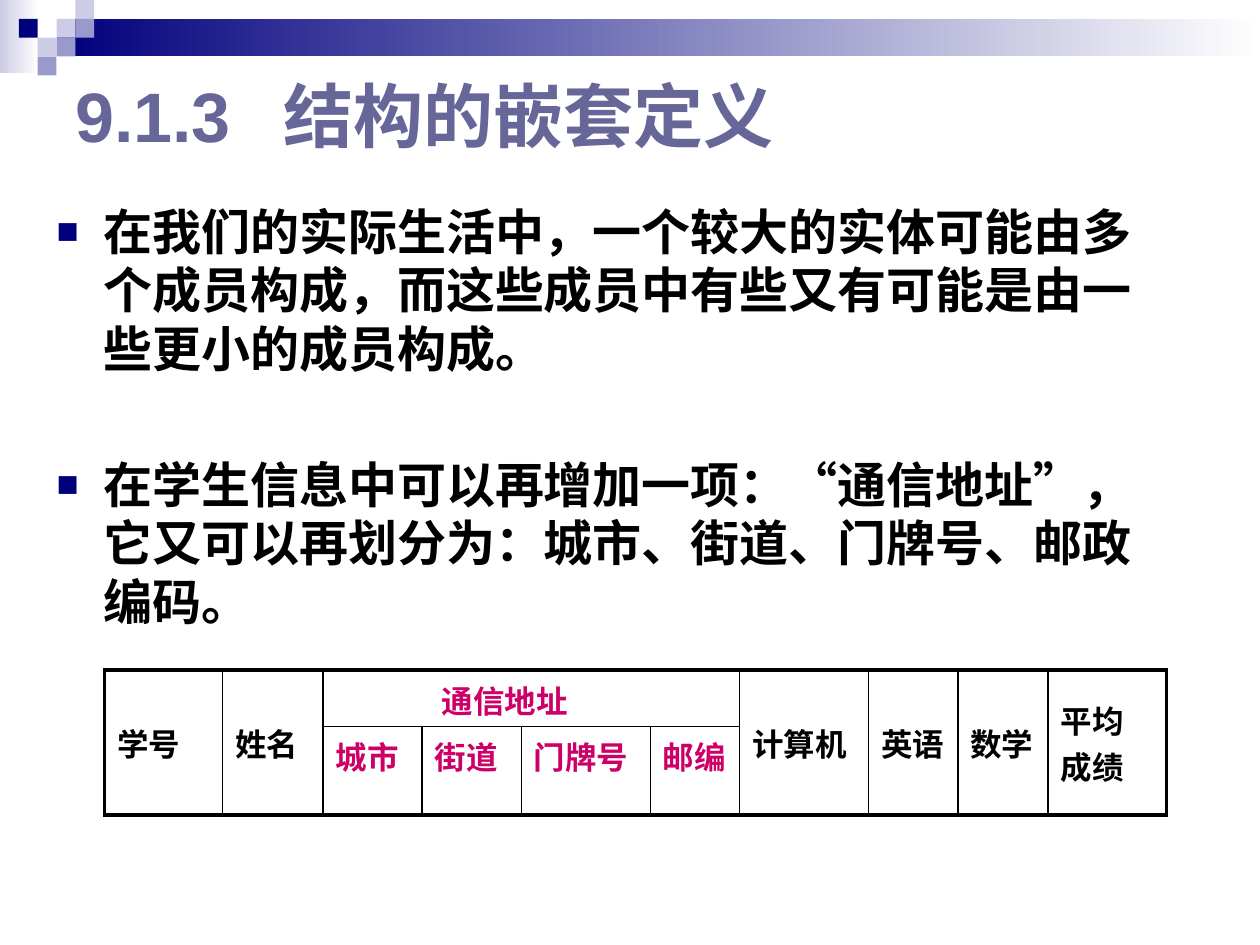
from lxml.etree import SubElement
from pptx import Presentation
from pptx.dml.color import RGBColor
from pptx.enum.shapes import MSO_SHAPE
from pptx.enum.text import MSO_ANCHOR
from pptx.oxml.ns import qn
from pptx.util import Cm, Pt

NAVY, VIOLET, LILAC, WHITE = "00007D", "9999CC", "CCCCE6", "FFFFFF"
BLACK, SLATE, MAGENTA = "000000", "666699", "CC0066"
LATIN, CHINESE = "Arial", "Noto Sans CJK SC"


def rgb(code):
    return RGBColor.from_string(code)


def sub(parent, tag, **attributes):
    return SubElement(parent, qn(tag), {key: str(value) for key, value in attributes.items()})


class SlideBuilder:
    """Holds the text style and the slide being built."""

    def __init__(self, slide):
        self.slide = slide

    def text(self, paragraph, wording, size, color, latin=LATIN):
        run = paragraph.add_run()
        run.text = wording
        font = paragraph.font
        font.size, font.bold, font.name = Pt(size), True, latin
        font.color.rgb = rgb(color)
        sub(paragraph._p.pPr.find(qn("a:defRPr")), "a:ea", typeface=CHINESE)
        run_properties = run._r.get_or_add_rPr()
        run_properties.set("lang", "zh-CN")
        sub(run_properties, "a:ea", typeface=CHINESE)

    def block(self, left, top, width, height, color, fade_to=None):
        shape = self.slide.shapes.add_shape(
            MSO_SHAPE.RECTANGLE, Cm(left), Cm(top), Cm(width), Cm(height))
        shape.shadow.inherit = False
        shape.line.fill.background()
        if fade_to:
            shape.fill.gradient()
            shape.fill.gradient_angle = 0
            for stop, shade in zip(shape.fill.gradient_stops, (color, fade_to)):
                stop.color.rgb = rgb(shade)
        else:
            shape.fill.solid()
            shape.fill.fore_color.rgb = rgb(color)

    def frame(self, left, top, width, height, anchor=MSO_ANCHOR.TOP):
        frame = self.slide.shapes.add_textbox(
            Cm(left), Cm(top), Cm(width), Cm(height)).text_frame
        frame.word_wrap = True
        frame.vertical_anchor = anchor
        return frame

    def title(self, number, heading):
        paragraph = self.frame(1.27, 1.27, 18.03, 2.06, MSO_ANCHOR.MIDDLE).paragraphs[0]
        self.text(paragraph, f"{number}\t{heading}", 40, SLATE)
        tabs = paragraph._p.pPr.makeelement(qn("a:tabLst"), {})
        sub(tabs, "a:tab", pos=Cm(4.2), algn="l")
        paragraph._p.pPr.insert(0, tabs)

    def bullets(self, texts):
        frame = self.frame(0.89, 3.94, 23.01, 9.19)
        for index, wording in enumerate(texts):
            paragraph = frame.add_paragraph() if index else frame.paragraphs[0]
            properties = paragraph._p.get_or_add_pPr()
            properties.set("marL", str(Cm(0.95)))
            properties.set("indent", str(-Cm(0.95)))
            paragraph.line_spacing = Pt(33.4)
            paragraph.space_before = Pt(44.6 if index else 5.6)
            sub(sub(properties, "a:buClr"), "a:srgbClr", val=NAVY)
            sub(properties, "a:buSzPct", val=75000)
            sub(properties, "a:buFont", typeface=LATIN)
            sub(properties, "a:buChar", char="■")
            self.text(paragraph, wording, 28, BLACK, CHINESE)

    def table(self, left, top, widths, heights):
        table = self.slide.shapes.add_table(
            len(heights), len(widths), Cm(left), Cm(top),
            Cm(sum(widths)), Cm(sum(heights))).table
        table.first_row = table.horz_banding = False
        for column, width in zip(table.columns, widths):
            column.width = Cm(width)
        for row, height in zip(table.rows, heights):
            row.height = Cm(height)
        return table

    def field(self, table, row, column, wording, color=BLACK, rows=1, columns=1):
        cell = table.cell(row, column)
        last_row, last_column = row + rows - 1, column + columns - 1
        if rows * columns > 1:
            cell.merge(table.cell(last_row, last_column))
        if rows > 1:
            cell.vertical_anchor = MSO_ANCHOR.MIDDLE
        paragraph = cell.text_frame.paragraphs[0]
        paragraph.space_before = Pt(3.6)
        self.text(paragraph, wording, 18, color)
        outer = {"a:lnL": column == 0, "a:lnR": last_column == len(table.columns) - 1,
                 "a:lnT": row == 0, "a:lnB": last_row == len(table.rows) - 1}
        for r in range(row, last_row + 1):
            for c in range(column, last_column + 1):
                self.border(table.cell(r, c), outer)
        return cell

    def border(self, cell, outer):
        properties = cell._tc.get_or_add_tcPr()
        for tag, thick in outer.items():
            line = sub(properties, tag, w=Pt(2.25 if thick else 1))
            sub(sub(line, "a:solidFill"), "a:srgbClr", val=BLACK)
        cell.fill.background()


def main():
    deck = Presentation()
    deck.slide_width, deck.slide_height = Cm(25.4), Cm(19.05)
    builder = SlideBuilder(deck.slides.add_slide(deck.slide_layouts[6]))

    unit = 0.38
    builder.block(0, 0, 0.79, 1.47, LILAC, WHITE)
    builder.block(3 * unit, unit, 25.4 - 3 * unit, 2 * unit, NAVY, WHITE)
    mosaic = [(3, 1, LILAC), (4, 0, LILAC), (4, 1, VIOLET), (2, 2, LILAC),
              (1, 1, NAVY), (3, 2, VIOLET), (2, 3, VIOLET)]
    for column, row, color in mosaic:
        builder.block(column * unit, row * unit, unit, unit, color)

    builder.title("9.1.3", "结构的嵌套定义")
    builder.bullets([
        "在我们的实际生活中，一个较大的实体可能由多个成员构成，而这些成员中有些又有可能是由一些更小的成员构成。",
        "在学生信息中可以再增加一项：“通信地址”，它又可以再划分为：城市、街道、门牌号、邮政编码。",
    ])

    record = builder.table(
        2.11, 13.51, [2.38, 2.02, 2, 2, 2.6, 1.8, 2.6, 1.8, 1.82, 2.38], [1.14, 1.25])
    address_parts = ["城市", "街道", "门牌号", "邮编"]
    address_start = 2
    address_end = address_start + len(address_parts)
    for column, label in enumerate(["学号", "姓名"]):
        builder.field(record, 0, column, label, rows=2)
    address = builder.field(record, 0, address_start, "通信地址", MAGENTA,
                            columns=len(address_parts))
    address.margin_left = Cm(2.4)
    for column, label in enumerate(address_parts, address_start):
        builder.field(record, 1, column, label, MAGENTA)
    for column, label in enumerate(["计算机", "英语", "数学", "平均成绩"], address_end):
        builder.field(record, 0, column, label, rows=2)

    deck.save("out.pptx")


if __name__ == "__main__":
    main()
